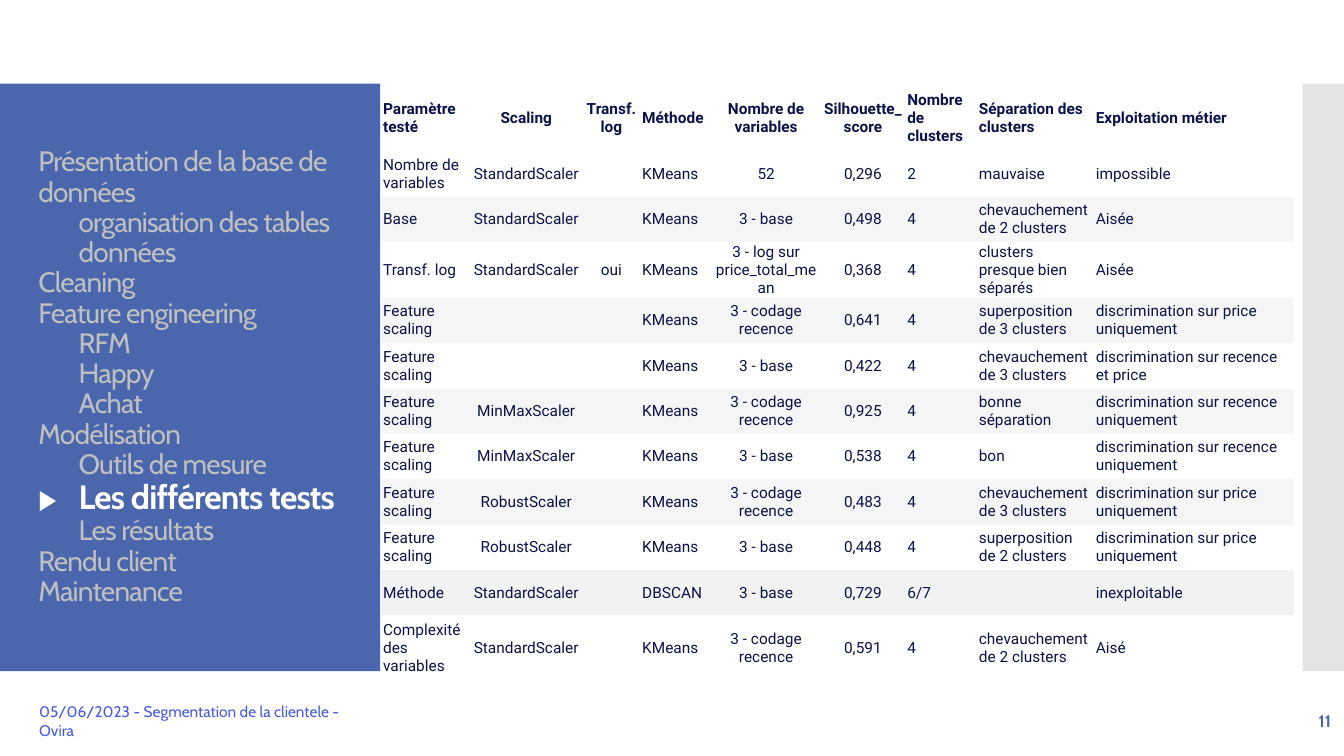
from lxml import etree
from pptx import Presentation
from pptx.dml.color import RGBColor
from pptx.enum.shapes import MSO_SHAPE
from pptx.enum.text import MSO_ANCHOR, MSO_AUTO_SIZE, PP_ALIGN
from pptx.oxml.ns import qn
from pptx.util import Inches, Pt

RECT = MSO_SHAPE.RECTANGLE
MIDDLE = MSO_ANCHOR.MIDDLE
FIXED = MSO_AUTO_SIZE.NONE
LEFT, CENTER, RIGHT = PP_ALIGN.LEFT, PP_ALIGN.CENTER, PP_ALIGN.RIGHT

COLORS = {
    "blue": "4A66AC", "gray": "C8C8C8", "dim": "BFBFBF", "white": "FFFFFF",
    "navy": "0B134A", "band": "F5F5F5", "dark": "F2F2F2", "foot": "465AE3",
}
NO_STYLE = "{2D5ABB26-0587-4C30-8999-92F81FD0307C}"

# Agenda: level and label
AGENDA = [
    (0, "Présentation de la base de données"),
    (1, "organisation des tables"),
    (1, "données"),
    (0, "Cleaning"),
    (0, "Feature engineering"),
    (1, "RFM"),
    (1, "Happy"),
    (1, "Achat"),
    (0, "Modélisation"),
    (1, "Outils de mesure"),
    (1, "Les différents tests"),
    (1, "Les résultats"),
    (0, "Rendu client"),
    (0, "Maintenance"),
]
CURRENT = "Les différents tests"

# Table of tests
WIDTHS = [0.88, 1.12, 0.57, 0.71, 1.08, 0.84, 0.71, 1.16, 1.99]
HEIGHTS = [0.66] + [0.45] * 10 + [0.66]
CENTERED = {1, 2, 4, 5}
STD, MINMAX, ROBUST = "StandardScaler", "MinMaxScaler", "RobustScaler"
FEAT, KM = "Feature scaling", "KMeans"
BASE, CODE = "3 - base", "3 - codage recence"
PRICE = "discrimination sur price uniquement"
RECENT = "discrimination sur recence uniquement"
OVER2, OVER3 = "chevauchement de 2 clusters", "chevauchement de 3 clusters"
TESTS = [
    ("Paramètre testé", "Scaling", "Transf. log", "Méthode",
     "Nombre de variables", "Silhouette_score", "Nombre de clusters",
     "Séparation des clusters", "Exploitation métier"),
    ("Nombre de variables", STD, "", KM, "52", "0,296", "2",
     "mauvaise", "impossible"),
    ("Base", STD, "", KM, BASE, "0,498", "4", OVER2, "Aisée"),
    ("Transf. log", STD, "oui", KM, "3 - log sur price_total_mean",
     "0,368", "4", "clusters presque bien séparés", "Aisée"),
    (FEAT, "", "", KM, CODE, "0,641", "4",
     "superposition de 3 clusters", PRICE),
    (FEAT, "", "", KM, BASE, "0,422", "4", OVER3,
     "discrimination sur recence et price"),
    (FEAT, MINMAX, "", KM, CODE, "0,925", "4", "bonne séparation", RECENT),
    (FEAT, MINMAX, "", KM, BASE, "0,538", "4", "bon", RECENT),
    (FEAT, ROBUST, "", KM, CODE, "0,483", "4", OVER3, PRICE),
    (FEAT, ROBUST, "", KM, BASE, "0,448", "4",
     "superposition de 2 clusters", PRICE),
    ("Méthode", STD, "", "DBSCAN", BASE, "0,729", "6/7", "",
     "inexploitable"),
    ("Complexité des variables", STD, "", KM, CODE, "0,591", "4", OVER2,
     "Aisé"),
]


def color(name):
    return RGBColor.from_string(COLORS[name])


def add_run(para, text, size, tint, font="Cabin", bold=False):
    run = para.add_run()
    run.text = text
    run.font.name = font
    run.font.size = Pt(size)
    run.font.bold = bold
    run.font.color.rgb = color(tint)
    return run


def add_panel(slide, box, tint, alpha=None):
    panel = slide.shapes.add_shape(RECT, *map(Inches, box))
    panel.shadow.inherit = False
    panel.fill.solid()
    panel.fill.fore_color.rgb = color(tint)
    panel.line.fill.background()
    if alpha:
        fill = next(panel.element.spPr.iter(qn("a:srgbClr")))
        etree.SubElement(fill, qn("a:alpha")).set("val", str(alpha * 1000))


def add_agenda(slide, box):
    title = slide.shapes.title
    title.left, title.top, title.width, title.height = map(Inches, box)
    frame = title.text_frame
    frame.word_wrap = True
    frame.auto_size = FIXED
    frame.vertical_anchor = MIDDLE
    for i, (level, label) in enumerate(AGENDA):
        para = frame.add_paragraph() if i else frame.paragraphs[0]
        para.alignment = LEFT
        para.line_spacing = 0.9
        para.space_before = Pt(0)
        active = label == CURRENT
        # Hanging indent leaves room for the marker
        props = para._p.get_or_add_pPr()
        props.set("marL", str(Inches(0.4 * level)))
        props.set("indent", str(Inches(-0.4 if active else 0)))
        runs = []
        if active:
            runs.append(add_run(para, "▶︎\t", 20, "white"))
        size, tint = (24, "white") if active else (20, "dim")
        runs.append(add_run(para, label, size, tint, bold=active))
        for run in runs:
            run.font._element.set("spc", "-60")


def add_tests(slide, box):
    shape = slide.shapes.add_table(len(TESTS), len(WIDTHS), *map(Inches, box))
    next(shape.element.iter(qn("a:tableStyleId"))).text = NO_STYLE
    table = shape.table
    for col, width in zip(table.columns, WIDTHS):
        col.width = Inches(width)
    for r, values in enumerate(TESTS):
        table.rows[r].height = Inches(HEIGHTS[r])
        # Even rows are banded, the DBSCAN row a little darker
        tint = "white" if r % 2 or not r else "band"
        if "DBSCAN" in values:
            tint = "dark"
        # The log row keeps a white ground, so bands restart after it
        for c, text in enumerate(values):
            cell = table.cell(r, c)
            cell.fill.solid()
            cell.fill.fore_color.rgb = color(tint)
            cell.vertical_anchor = MIDDLE
            cell.margin_left = cell.margin_right = Inches(0.02)
            cell.margin_top = cell.margin_bottom = Inches(0.01)
            para = cell.text_frame.paragraphs[0]
            para.alignment = CENTER if c in CENTERED else LEFT
            para.font.size = Pt(11)
            if text:
                add_run(para, text, 11, "navy", "Roboto", bold=r == 0)


def add_note(slide, box, text, size, tint, align=LEFT, bold=False):
    frame = slide.shapes.add_textbox(*map(Inches, box)).text_frame
    frame.word_wrap = True
    frame.vertical_anchor = MIDDLE
    para = frame.paragraphs[0]
    para.alignment = align
    add_run(para, text, size, tint, bold=bold)


def main():
    deck = Presentation()
    deck.slide_width, deck.slide_height = Inches(13.33), Inches(7.5)
    slide = deck.slides.add_slide(deck.slide_layouts[5])
    # Side panels
    add_panel(slide, (0, 0.83, 3.77, 5.83), "blue")
    add_panel(slide, (12.92, 0.83, 0.42, 5.83), "gray", alpha=50)
    # Results, then the agenda over its panel
    add_tests(slide, (3.78, 0.84, sum(WIDTHS), sum(HEIGHTS)))
    add_agenda(slide, (0.28, 1.23, 3.22, 5.03))
    tree = slide.shapes.title.element.getparent()
    tree.append(slide.shapes.title.element)
    # Footer
    add_note(slide, (11.63, 6.95, 1.67, 0.4), "11", 12, "blue", RIGHT, True)
    add_note(slide, (0.29, 6.95, 3.54, 0.4),
             "05/06/2023 - Segmentation de la clientele - Ovira", 11, "foot")
    deck.save("out.pptx")


if __name__ == "__main__":
    main()
